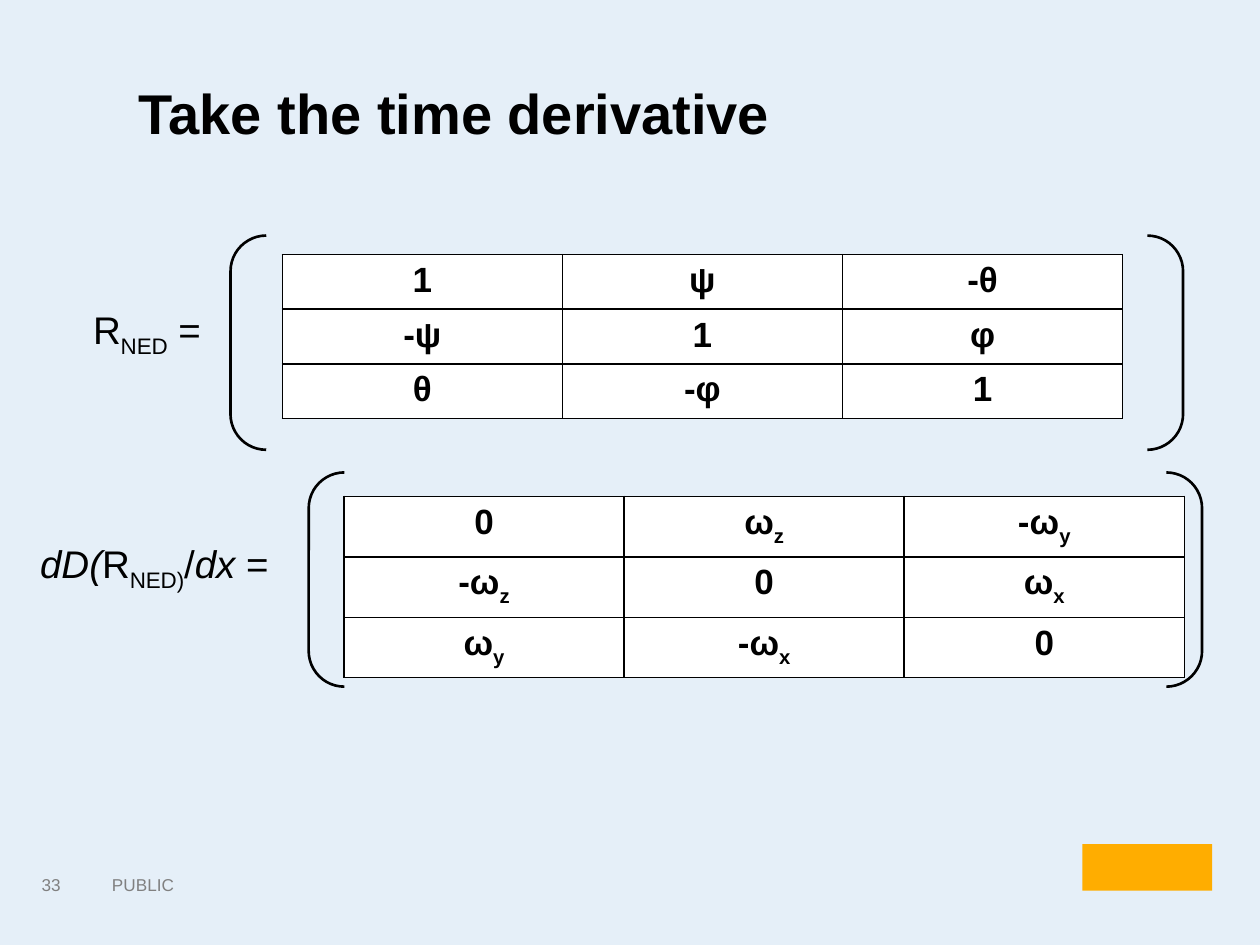
import pptx
import pptx.dml.color
import pptx.enum.shapes
import pptx.enum.text
import pptx.oxml
import pptx.oxml.ns
import pptx.util
from pptx.util import Inches

INK, PAPER, GREY = "000000", "FFFFFF", "808080"
ANCHOR = pptx.enum.text.MSO_ANCHOR
ALIGN = pptx.enum.text.PP_ALIGN
SHAPE = pptx.enum.shapes.MSO_SHAPE


def colour(code):
    """Turn a hex string into a colour."""
    return pptx.dml.color.RGBColor.from_string(code)


def paint(fill, code):
    """Make a fill solid in one colour."""
    fill.solid()
    fill.fore_color.rgb = colour(code)


def write(frame, runs, size, code=INK, bold=False, align=ALIGN.LEFT):
    """Write (text, style) runs, where style is '', 'sub' or 'italic'."""
    para = frame.paragraphs[0]
    para.alignment = align
    for text, style in runs:
        span = para.add_run()
        span.text = text
        span.font.name = "Arial"
        span.font.size = pptx.util.Pt(size)
        span.font.bold = bold
        span.font.italic = style == "italic"
        span.font.color.rgb = colour(code)
        if style == "sub":
            span.font._element.set("baseline", "-25000")


def add_label(page, box, runs, size, code=INK, anchor=ANCHOR.TOP):
    """Place one line of text in a box."""
    frame = page.shapes.add_textbox(*map(Inches, box)).text_frame
    frame.word_wrap = False
    frame.vertical_anchor = anchor
    write(frame, runs, size, code)


def add_title(page, box, text):
    """Move the title placeholder into a box and fill it."""
    title = page.shapes.title
    title.left, title.top, title.width, title.height = map(Inches, box)
    title.text_frame.vertical_anchor = ANCHOR.TOP
    write(title.text_frame, [(text, "")], 32, bold=True)


def outline_cell(cell):
    """Draw thin black borders on all four sides of a cell."""
    properties = cell._tc.get_or_add_tcPr()
    for index, side in enumerate(("lnL", "lnR", "lnT", "lnB")):
        border = pptx.oxml.parse_xml(
            f'<a:{side} {pptx.oxml.ns.nsdecls("a")} w="12700"><a:solidFill>'
            f'<a:srgbClr val="{INK}"/></a:solidFill></a:{side}>')
        properties.insert(index, border)


def add_matrix(page, box, entries):
    """Place a grid of 'symbol' or 'symbol_subscript' entries in a box."""
    left, top, width, height = box
    count = len(entries)
    table = page.shapes.add_table(count, count, *map(Inches, box)).table
    table.first_row = table.horz_banding = False
    for index, row in enumerate(entries):
        table.rows[index].height = Inches(height / count)
        table.columns[index].width = Inches(width / count)
        for column, entry in enumerate(row):
            cell = table.cell(index, column)
            symbol, _, subscript = entry.partition("_")
            runs = [(symbol, "")] + ([(subscript, "sub")] if subscript else [])
            write(cell.text_frame, runs, 20, bold=True, align=ALIGN.CENTER)
            paint(cell.fill, PAPER)
            outline_cell(cell)


def add_brackets(page, box):
    """Place a pair of round brackets around a box."""
    brackets = page.shapes.add_shape(SHAPE.DOUBLE_BRACKET, *map(Inches, box))
    brackets.shadow.inherit = False
    brackets.fill.background()
    brackets.line.color.rgb = colour(INK)
    brackets.line.width = pptx.util.Pt(1.5)


def add_equation(page, label_box, runs, matrix_box, entries, bracket_box):
    """Place a label and the bracketed matrix it equals."""
    add_matrix(page, matrix_box, entries)
    add_brackets(page, bracket_box)
    add_label(page, label_box, runs, 22)


def add_footer(page, box):
    """Place page number, marking and a plain badge along the foot."""
    left, top, width, height = box
    number_box = (left, top + 0.17, 0.49, 0.3)
    add_label(page, number_box, [("33", "")], 9.8, GREY, ANCHOR.MIDDLE)
    frame = page.shapes[-1].text_frame
    frame.margin_left = frame.margin_right = Inches(0.06)
    frame.margin_top = frame.margin_bottom = Inches(0.03)
    add_label(page, (left + 0.52, top + 0.19, 3.84, 0.34),
              [("PUBLIC", "")], 9.8, GREY)
    badge_box = (left + width - 1.03, top, 1.03, 0.37)
    badge = page.shapes.add_shape(SHAPE.RECTANGLE, *map(Inches, badge_box))
    badge.shadow.inherit = False
    paint(badge.fill, "FFAD00")
    badge.line.fill.background()


def main():
    """Build the slide and save it."""
    deck = pptx.Presentation()
    deck.slide_width, deck.slide_height = Inches(10), Inches(7.5)
    page = deck.slides.add_slide(deck.slide_layouts[5])
    paint(page.background.fill, "E5EFF8")
    add_footer(page, (0.27, 6.7, 9.35, 0.53))
    add_title(page, (1, 0.57, 8.42, 1.17), "Take the time derivative")
    add_equation(
        page, (0.64, 2.38, 1.06, 0.58),
        [("R", ""), ("NED", "sub"), (" =", "")],
        (2.24, 2.02, 6.67, 1.23),
        [("1", "ψ", "-θ"), ("-ψ", "1", "φ"), ("θ", "-φ", "1")],
        (1.83, 1.87, 7.56, 1.7))
    add_equation(
        page, (0.22, 4.24, 2.02, 0.58),
        [("dD(", "italic"), ("R", ""), ("NED)", "sub"), ("/", ""),
         ("dx", "italic"), (" =", "")],
        (2.73, 3.94, 6.67, 1.37),
        [("0", "ω_z", "-ω_y"), ("-ω_z", "0", "ω_x"), ("ω_y", "-ω_x", "0")],
        (2.45, 3.75, 7.09, 1.7))
    deck.save("out.pptx")


if __name__ == "__main__":
    main()
